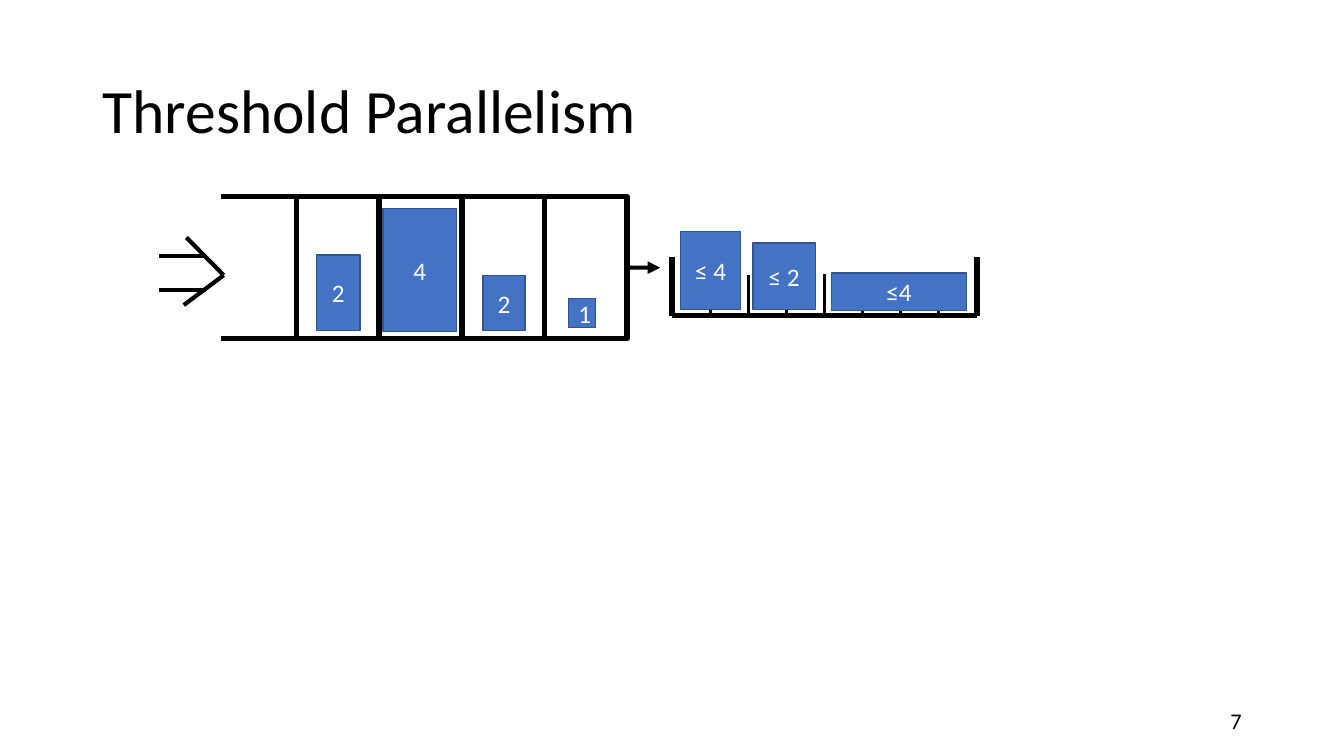
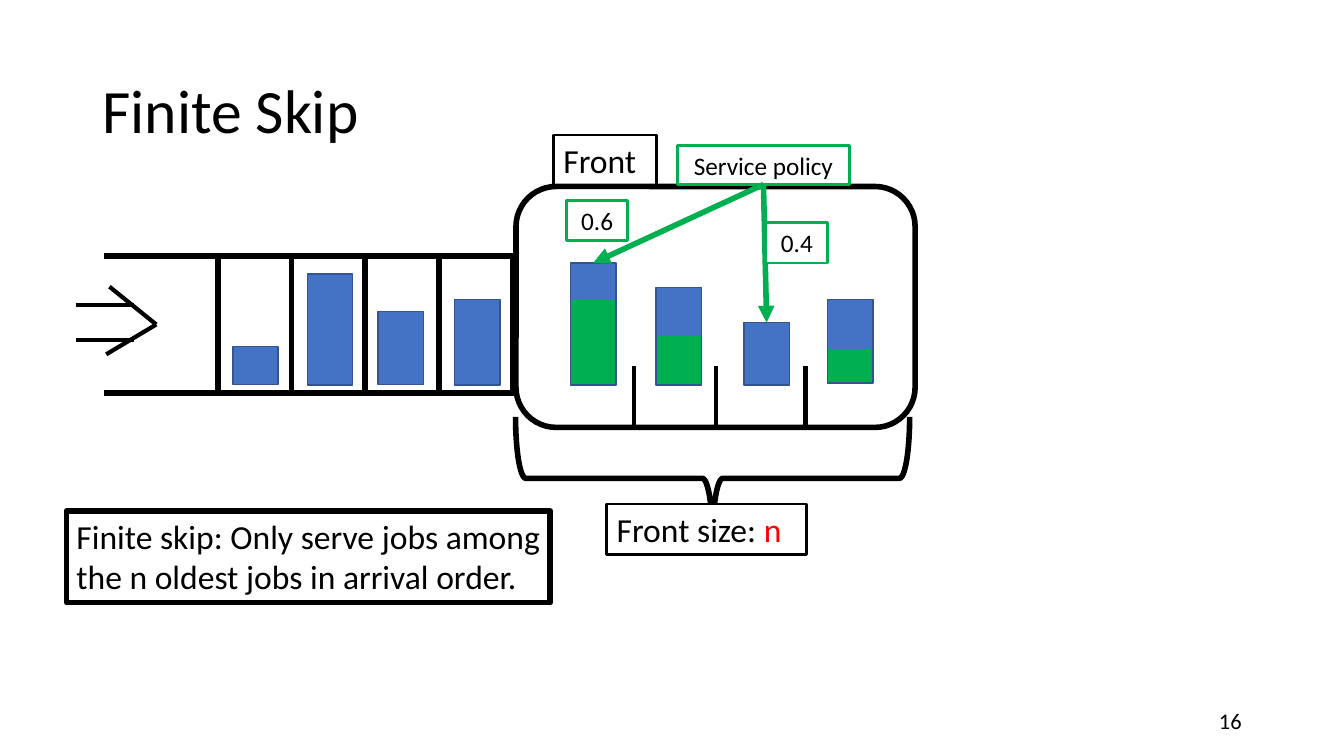
from copy import deepcopy

from lxml.etree import SubElement
from pptx import Presentation
from pptx.dml.color import RGBColor
from pptx.enum.shapes import MSO_CONNECTOR, MSO_SHAPE
from pptx.enum.text import MSO_ANCHOR, MSO_AUTO_SIZE, PP_ALIGN
from pptx.oxml.ns import qn
from pptx.util import Pt

BLACK = RGBColor(0x00, 0x00, 0x00)
WHITE = RGBColor(0xFF, 0xFF, 0xFF)
RED = RGBColor(0xFF, 0x00, 0x00)
GREEN = RGBColor(0x00, 0xB0, 0x50)
BLUE = RGBColor(0x44, 0x72, 0xC4)
DARK_BLUE = RGBColor(0x32, 0x54, 0x91)

FONT = "Calibri"
TOP, LEFT, BOTTOM, RIGHT = range(4)
THICK, MEDIUM, THIN, HAIR = 4, 3, 2, 1
CELL_COUNT = 4
JOB_WIDTH = 32.4


def write(shape, text, size=18, color=BLACK, align=PP_ALIGN.LEFT,
          anchor=MSO_ANCHOR.MIDDLE, line_spacing=None):
    """Write one paragraph; text is a string or a list of (string, colour) runs."""
    frame = shape.text_frame
    frame.word_wrap = True
    frame.auto_size = MSO_AUTO_SIZE.NONE
    frame.vertical_anchor = anchor
    paragraph = frame.paragraphs[0]
    paragraph.alignment = align
    paragraph.line_spacing = line_spacing
    runs = [(text, color)] if isinstance(text, str) else text
    for run_text, run_color in runs:
        run = paragraph.add_run()
        run.text = run_text
        run.font.name = FONT
        run.font.size = Pt(size)
        run.font.color.rgb = run_color


class QueueDeck:
    def __init__(self):
        self.presentation = Presentation()
        self.presentation.slide_width = Pt(960)
        self.presentation.slide_height = Pt(540)
        self.slide = None

    def add_slide(self, title, number):
        layout = self.presentation.slide_layouts[5]
        self.slide = self.presentation.slides.add_slide(layout)
        heading = self.slide.shapes.title
        heading.left, heading.top = Pt(66), Pt(28.8)
        heading.width, heading.height = Pt(828), Pt(104.4)
        write(heading, title, size=44, line_spacing=0.9)
        footer = self.slide.shapes.add_textbox(Pt(678), Pt(500.5), Pt(216), Pt(28.8))
        write(footer, number, size=16, align=PP_ALIGN.RIGHT)

    def box(self, left, top, width, height, fill=None, line=BLACK, weight=THICK,
            kind=MSO_SHAPE.RECTANGLE):
        shape = self.slide.shapes.add_shape(
            kind, Pt(left), Pt(top), Pt(width), Pt(height))
        shape.shadow.inherit = False
        if fill is None:
            shape.fill.background()
        else:
            shape.fill.solid()
            shape.fill.fore_color.rgb = fill
        shape.line.color.rgb = line
        shape.line.width = Pt(weight)
        return shape

    def label(self, text, left, top, width, height, size=24, align=PP_ALIGN.LEFT,
              **style):
        shape = self.box(left, top, width, height, **style)
        write(shape, text, size=size, align=align, anchor=MSO_ANCHOR.TOP)
        return shape

    def policy_label(self, text, left, top, width, height, fill=None):
        return self.label(text, left, top, width, height, size=18, weight=THIN,
                          align=PP_ALIGN.CENTER, fill=fill, line=GREEN)

    def line(self, x1, y1, x2, y2, color=BLACK, weight=MEDIUM, arrow=False):
        connector = self.slide.shapes.add_connector(
            MSO_CONNECTOR.STRAIGHT, Pt(x1), Pt(y1), Pt(x2), Pt(y2))
        connector.line.color.rgb = color
        connector.line.width = Pt(weight)
        if arrow:
            SubElement(connector.line._get_or_add_ln(), qn("a:tailEnd"), type="triangle")
        SubElement(connector._element.spPr, qn("a:effectLst"))
        return connector

    def job(self, left, top, width, height, text=None, served=0):
        """Draw a job; served is the percentage filled green from the bottom."""
        shape = self.box(left, top, width, height, fill=BLUE, line=DARK_BLUE, weight=HAIR)
        if text:
            write(shape, text, color=WHITE, align=PP_ALIGN.CENTER)
        if served:
            self.split_fill(shape, 1 - served / 100)
        return shape

    def split_fill(self, shape, boundary):
        """Fill blue above the boundary and green below it, with a hard edge."""
        shape.fill.gradient()
        shape.fill.gradient_angle = 270
        stop_list = shape._element.spPr.find(".//" + qn("a:gsLst"))
        for stop in list(stop_list):
            stop_list.append(deepcopy(stop))
        colors = (BLUE, BLUE, GREEN, GREEN)
        positions = (0, boundary, boundary, 1)
        for stop, color, position in zip(shape.fill.gradient_stops, colors, positions):
            stop.color.rgb = color
            stop.position = position

    def queue(self, left, top, first_cell, cell_width, height):
        """Draw the rails and cells of a queue; return the cell at its head."""
        right = first_cell + CELL_COUNT * cell_width
        for y in (top, top + height):
            self.line(left, y, right, y, weight=THICK)
        cells = [self.box(first_cell + i * cell_width, top, cell_width, height, fill=WHITE)
                 for i in reversed(range(CELL_COUNT))]
        return cells[0]

    def arrivals(self, tip_x, tip_y, length):
        """Draw the open arrow that points into the queue."""
        self.line(tip_x - 0.58 * length, tip_y - 27, tip_x, tip_y)
        self.line(tip_x - 0.62 * length, tip_y + 21.3, tip_x, tip_y)
        for offset in (-13.7, 10.8):
            y = tip_y + offset
            self.line(tip_x - length, y, tip_x - 0.28 * length, y)

    def servers(self, left, top, right, bottom, count=8):
        """Draw a tray divided into equal server slots."""
        for x in (left, right):
            self.line(x, top, x, bottom, weight=THICK)
        self.line(left, bottom, right, bottom, weight=THICK)
        slot = (right - left) / count
        for i in range(1, count):
            x, y = left + i * slot, top + 14 - 0.5 * i
            self.line(x, y, x, y + 29.5, weight=THIN)


def build_threshold_parallelism(deck):
    deck.add_slide("Threshold Parallelism", "7")
    head = deck.queue(157.7, 140.4, first_cell=211.7, cell_width=59.05, height=101.5)
    dispatch = deck.line(447.9, 191.2, 471.6, 191.2, arrow=True)
    dispatch.begin_connect(head, RIGHT)
    deck.arrivals(159.8, 196.6, 46)
    deck.servers(480.2, 183.8, 697.7, 225.4)
    for text, left, top, width, height in (
            ("2", 226.1, 182.2, 31, 54),
            ("4", 273.6, 149, 52.6, 87.8),
            ("2", 344.9, 196.6, 30.2, 39.6),
            ("1", 406.1, 213.1, 19.4, 20.9),
            ("≤ 4", 486, 165.6, 43.2, 55.4),
            ("≤ 2", 537.8, 173.5, 44.6, 47.5),
            ("≤4", 594, 195.1, 96.5, 26.6)):
        deck.job(left, top, width, height, text)


def build_finite_skip(deck):
    deck.add_slide("Finite Skip", "16")
    deck.label("Front", 395.3, 96.5, 73.4, 36, weight=THIN)
    deck.arrivals(111.6, 231.8, 57.6)
    deck.queue(74.2, 182.9, first_cell=155.5, cell_width=52.7, height=97.9)
    for left, top, height in ((166.3, 247.7, 26.9), (219.6, 195.8, 79.2),
                              (270, 222.5, 52.2), (324.7, 213.8, 61.2)):
        deck.job(left, top, JOB_WIDTH, height)
    first, _, third, _ = [
        deck.job(left, top, JOB_WIDTH, height, served=served)
        for left, top, height, served in (
            (407.5, 187.9, 87.1, 70), (468.7, 205.2, 69.8, 50),
            (531.4, 230.4, 44.6, 0), (591.1, 213.8, 59.8, 40))]
    deck.box(368.6, 133.2, 285.1, 172.1, kind=MSO_SHAPE.ROUNDED_RECTANGLE)
    for x in (452.9, 511.2, 575.3):
        deck.line(x, 261.6, x, 305.3)

    brace = deck.box(465.1, 200.9, 87.8, 281.5, kind=MSO_SHAPE.LEFT_BRACE)
    brace.rotation = 270
    deck.label([("Front size: ", BLACK), ("n", RED)], 433.4, 360, 142.6, 36,
               fill=WHITE, weight=THIN)

    policy = deck.policy_label("Service policy", 483.8, 103.7, 123.1, 28.1)
    for job in (first, third):
        share = deck.line(0, 0, 0, 0, color=GREEN, weight=THICK, arrow=True)
        share.begin_connect(policy, BOTTOM)
        share.end_connect(job, TOP)
    for text, left, top in (("0.6", 404.6, 143.3), ("0.4", 547.2, 159.1)):
        deck.policy_label(text, left, top, 43.9, 28.8, fill=WHITE)
    deck.label("Finite skip: Only serve jobs among the n oldest jobs in arrival order.",
               47.5, 365, 345.6, 65.5)


def main():
    deck = QueueDeck()
    build_threshold_parallelism(deck)
    build_finite_skip(deck)
    deck.presentation.save("out.pptx")


if __name__ == "__main__":
    main()
